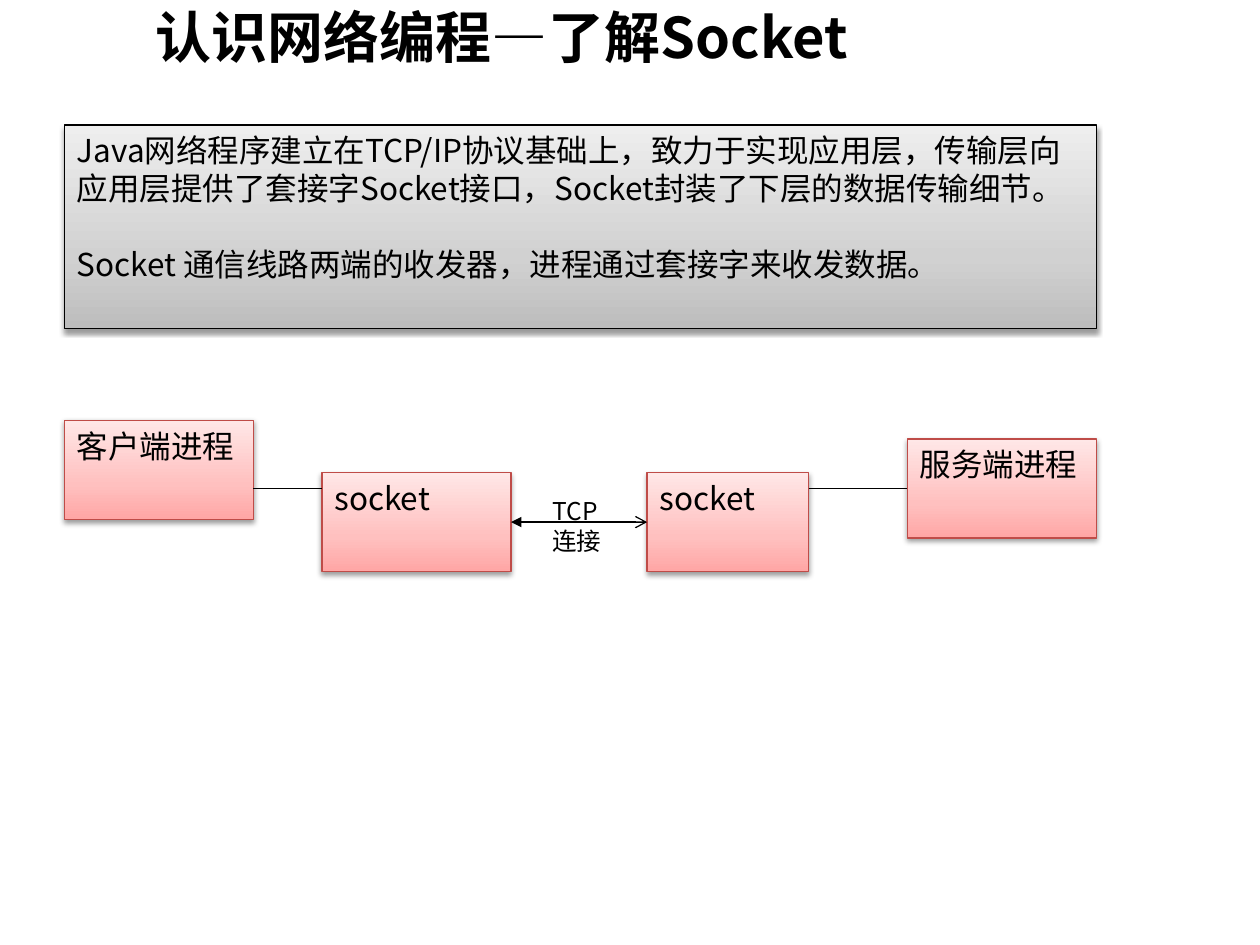
from dataclasses import dataclass

from lxml import etree
from pptx import Presentation
from pptx.dml.color import RGBColor
from pptx.enum.shapes import MSO_CONNECTOR, MSO_SHAPE
from pptx.enum.text import MSO_ANCHOR, PP_ALIGN
from pptx.oxml.ns import qn
from pptx.util import Pt

RECTANGLE = MSO_SHAPE.RECTANGLE
STRAIGHT = MSO_CONNECTOR.STRAIGHT
TOP = MSO_ANCHOR.TOP
LEFT = PP_ALIGN.LEFT


@dataclass(frozen=True)
class Theme:
    font: str = "Noto Sans CJK SC"
    ink: str = "000000"
    red_line: str = "BF4C48"
    # Gradient stops run from the bottom edge to the top edge
    gray_fill: tuple = ((0, "BDBDBD"), (35, "D1D1D1"), (100, "EEEEEE"))
    red_fill: tuple = ((0, "FFA6A5"), (35, "FFC0BF"), (100, "FFE7E7"))
    title_size: float = 32
    body_size: float = 18
    label_size: float = 14
    paragraph_gap: float = 21.6
    line_width: float = 0.75


@dataclass(frozen=True)
class Box:
    text: str
    left: float
    top: float
    width: float = 108
    height: float = 56.7


@dataclass(frozen=True)
class Link:
    start: float
    end: float
    y: float
    head: str = ""
    tail: str = ""


THEME = Theme()

TITLE = Box("认识网络编程—了解Socket", 82, -2, 556, 46)
INTRO = Box(
    "Java网络程序建立在TCP/IP协议基础上，致力于实现应用层，传输层向应用层提供了"
    "套接字Socket接口，Socket封装了下层的数据传输细节。\n"
    "Socket 通信线路两端的收发器，进程通过套接字来收发数据。",
    36.8, 71.4, 589.7, 116.4)
CLIENT = Box("客户端进程", 36.8, 240.2)
SERVER = Box("服务端进程", 518.5, 250.8)
CLIENT_SOCKET = Box("socket", 184, 270)
SERVER_SOCKET = Box("socket", 369.8, 270, width=92.3)
LABEL = Box("TCP连接", 308.6, 280, 51.1, 41)


def right(box: Box) -> float:
    return box.left + box.width


def write_text(shape, text: str, *, size: float, bold: bool = False,
               gap: float = 0) -> None:
    """Write one paragraph per line of text, with a gap between them."""
    frame = shape.text_frame
    frame.word_wrap = True
    frame.vertical_anchor = TOP
    for index, line in enumerate(text.split("\n")):
        para = frame.add_paragraph() if index else frame.paragraphs[0]
        para.alignment = LEFT
        para.space_before = Pt(gap if index else 0)
        span = para.add_run()
        span.text = line
        span.font.size = Pt(size)
        span.font.bold = bold
        span.font.name = THEME.font
        span.font.color.rgb = RGBColor.from_string(THEME.ink)
        east_asian = etree.SubElement(span.font._element, qn("a:ea"))
        east_asian.set("typeface", THEME.font)


def set_gradient(shape, stops: tuple) -> None:
    shape.fill.gradient()
    shape.fill.gradient_angle = 90
    stop_list = shape._element.spPr.find(".//" + qn("a:gsLst"))
    for old_stop in list(stop_list):
        stop_list.remove(old_stop)
    for position, color in stops:
        stop = etree.SubElement(stop_list, qn("a:gs"), pos=str(position * 1000))
        etree.SubElement(stop, qn("a:srgbClr"), val=color)


def set_shadow(shape) -> None:
    shape.shadow.inherit = False
    effects = shape._element.spPr.find(qn("a:effectLst"))
    shadow = etree.SubElement(
        effects, qn("a:outerShdw"), blurRad=str(Pt(3.1)), dist=str(Pt(1.6)),
        dir="5400000", rotWithShape="0")
    color = etree.SubElement(shadow, qn("a:srgbClr"), val=THEME.ink)
    etree.SubElement(color, qn("a:alpha"), val="38000")


def draw_panel(page, box: Box, stops: tuple, outline: str, gap: float = 0) -> None:
    shape = page.shapes.add_shape(
        RECTANGLE, Pt(box.left), Pt(box.top), Pt(box.width), Pt(box.height))
    set_gradient(shape, stops)
    shape.line.color.rgb = RGBColor.from_string(outline)
    shape.line.width = Pt(THEME.line_width)
    set_shadow(shape)
    write_text(shape, box.text, size=THEME.body_size, gap=gap)


def draw_text(page, box: Box, size: float, bold: bool = False) -> None:
    shape = page.shapes.add_textbox(
        Pt(box.left), Pt(box.top), Pt(box.width), Pt(box.height))
    write_text(shape, box.text, size=size, bold=bold)


def draw_link(page, link: Link) -> None:
    line = page.shapes.add_connector(
        STRAIGHT, Pt(link.start), Pt(link.y), Pt(link.end), Pt(link.y))
    line.line.color.rgb = RGBColor.from_string(THEME.ink)
    line.line.width = Pt(THEME.line_width)
    outline = line.line._get_or_add_ln()
    for tag, arrow in (("a:headEnd", link.head), ("a:tailEnd", link.tail)):
        if arrow:
            etree.SubElement(outline, qn(tag), type=arrow)
    etree.SubElement(line._element.spPr, qn("a:effectLst"))


def main() -> None:
    deck = Presentation()
    deck.slide_width, deck.slide_height = Pt(720), Pt(540)
    page = deck.slides.add_slide(deck.slide_layouts[6])

    # Title and introduction
    draw_text(page, TITLE, THEME.title_size, bold=True)
    draw_panel(page, INTRO, THEME.gray_fill, THEME.ink, THEME.paragraph_gap)

    # Processes and their sockets
    for box in (CLIENT, SERVER, CLIENT_SOCKET, SERVER_SOCKET):
        draw_panel(page, box, THEME.red_fill, THEME.red_line)

    # Links between neighbours, with the TCP connection in the middle
    process_y = 279.2
    socket_y = CLIENT_SOCKET.top + CLIENT_SOCKET.height / 2
    for link in (
        Link(right(CLIENT), CLIENT_SOCKET.left, process_y),
        Link(right(SERVER_SOCKET), SERVER.left, process_y),
        Link(right(CLIENT_SOCKET), SERVER_SOCKET.left, socket_y,
             head="triangle", tail="arrow"),
    ):
        draw_link(page, link)
    draw_text(page, LABEL, THEME.label_size)

    deck.save("out.pptx")


if __name__ == "__main__":
    main()
